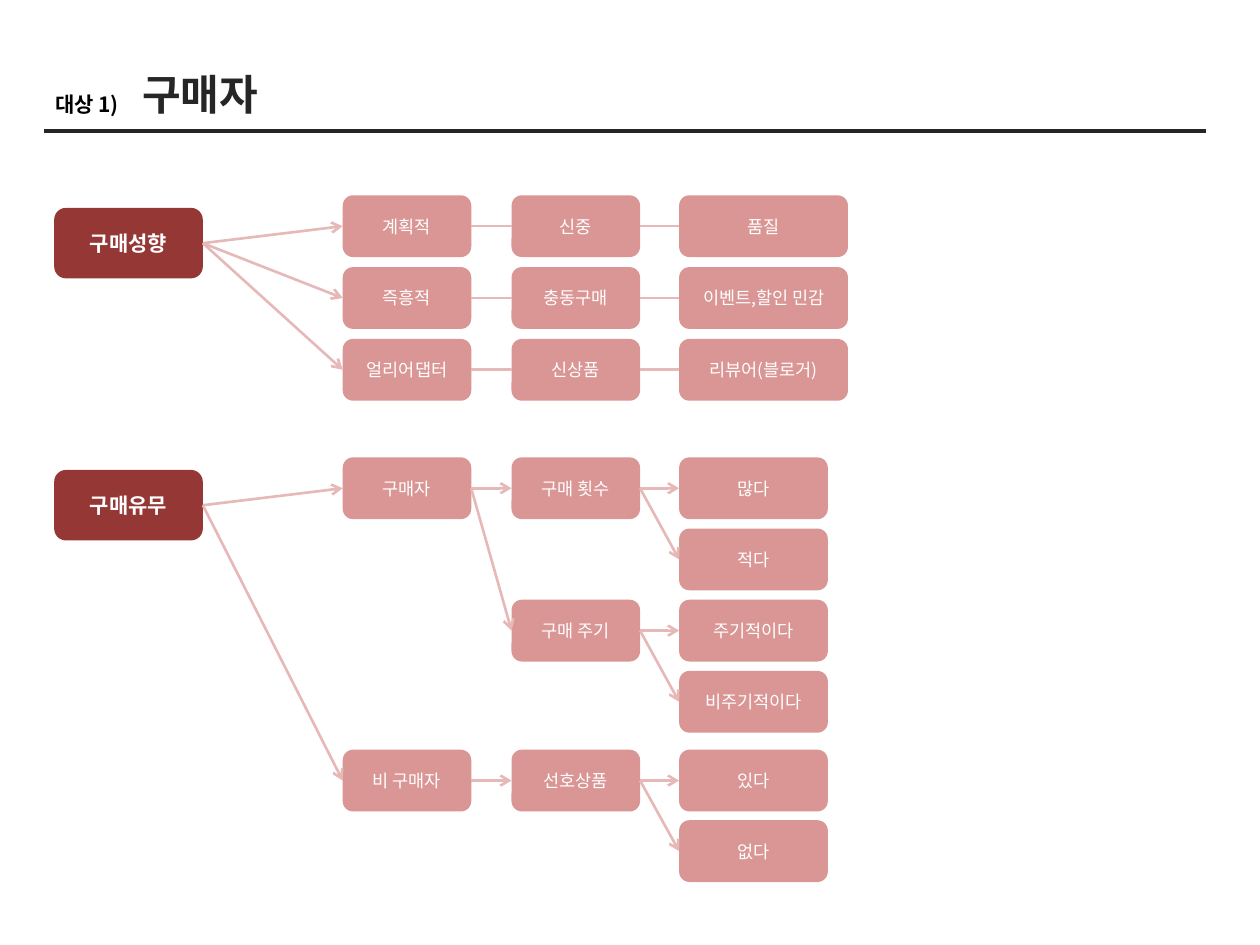
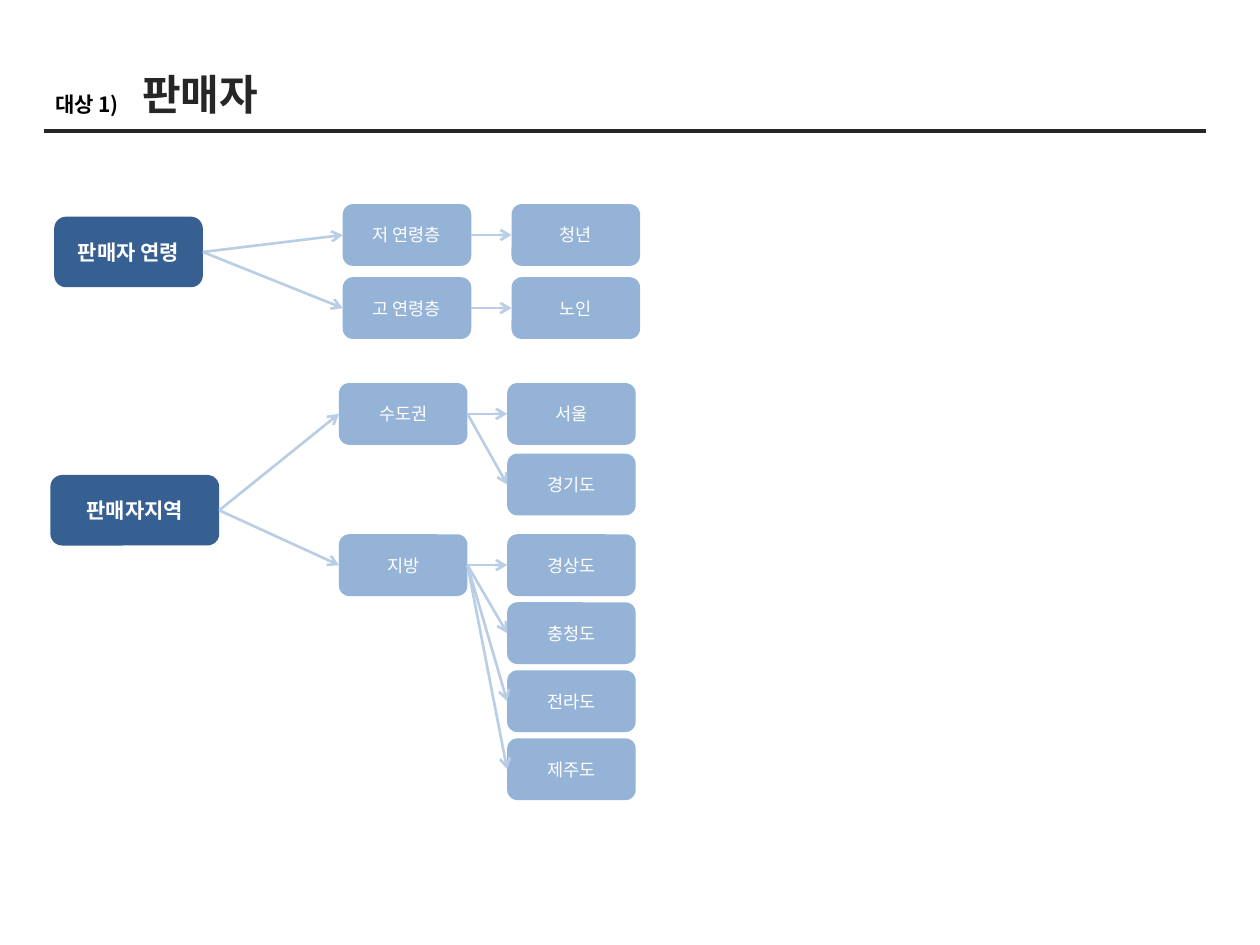
import pptx
import pptx.util
import pptx.dml.color
import pptx.enum.shapes
import pptx.enum.text
import pptx.oxml
import pptx.oxml.ns

Inches = pptx.util.Inches
Pt = pptx.util.Pt

COLORS = {"ink": "262626", "black": "000000", "white": "FFFFFF"}
PALETTES = {
    "red": {"root": "953735", "branch": "D99694", "line": "E6B9B8"},
    "blue": {"root": "376092", "branch": "95B3D7", "line": "B9CDE5"},
}
KOREAN = "Noto Sans CJK KR"
ROOT_HEIGHT = 0.56
BRANCH_HEIGHT = 0.49

FONTS = {
    "title": {"size": Pt(24), "bold": True, "name": "Arial"},
    "label": {"size": Pt(12), "bold": True, "name": KOREAN},
    "branch": {"size": Pt(10), "bold": False, "name": KOREAN},
}
HEADING_FRAME = {
    "word_wrap": False,
    "auto_size": pptx.enum.text.MSO_AUTO_SIZE.SHAPE_TO_FIT_TEXT,
    "vertical_anchor": pptx.enum.text.MSO_ANCHOR.TOP,
}

# columns: (left, width) per level; rows: (first top, count, pitch) per run of leaves
SLIDES = [
    {
        "title": "구매자",
        "palette": "red",
        "trees": [
            {
                "root_top": 1.65,
                "columns": [(0.43, 1.18), (2.72, 1.02), (4.06, 1.02), (5.39, 1.34)],
                "rows": [(1.55, 3, 0.57)],
                "arrow_levels": [1],
                "node": ("구매성향", [
                    ("계획적", [("신중", [("품질", [])])]),
                    ("즉흥적", [("충동구매", [("이벤트,할인 민감", [])])]),
                    ("얼리어댑터", [("신상품", [("리뷰어(블로거)", [])])]),
                ]),
            },
            {
                "root_top": 3.73,
                "columns": [(0.43, 1.18), (2.72, 1.02), (4.06, 1.02), (5.39, 1.18)],
                "rows": [(3.63, 4, 0.565), (5.95, 2, 0.56)],
                "arrow_levels": [1, 2, 3],
                "node": ("구매유무", [
                    ("구매자", [
                        ("구매 횟수", [("많다", []), ("적다", [])]),
                        ("구매 주기", [("주기적이다", []), ("비주기적이다", [])]),
                    ]),
                    ("비 구매자", [("선호상품", [("있다", []), ("없다", [])])]),
                ]),
            },
        ],
    },
    {
        "title": "판매자",
        "palette": "blue",
        "trees": [
            {
                "root_top": 1.72,
                "columns": [(0.43, 1.18), (2.72, 1.02), (4.06, 1.02)],
                "rows": [(1.62, 2, 0.58)],
                "arrow_levels": [1, 2],
                "node": ("판매자 연령", [
                    ("저 연령층", [("청년", [])]),
                    ("고 연령층", [("노인", [])]),
                ]),
            },
            {
                "root_top": 3.77,
                "columns": [(0.4, 1.34), (2.69, 1.02), (4.025, 1.02)],
                "rows": [(3.04, 2, 0.56), (4.24, 4, 0.54)],
                "arrow_levels": [1, 2],
                "node": ("판매자지역", [
                    ("수도권", [("서울", []), ("경기도", [])]),
                    ("지방", [("경상도", []), ("충청도", []), ("전라도", []), ("제주도", [])]),
                ]),
            },
        ],
    },
]


def rgb(color):
    return pptx.dml.color.RGBColor.from_string(color)


def set_attributes(target, values):
    for name, value in values.items():
        setattr(target, name, value)


def write(shape, text, style, color, alignment):
    paragraph = shape.text_frame.paragraphs[0]
    paragraph.alignment = alignment
    run = paragraph.add_run()
    run.text = text
    set_attributes(run.font, FONTS[style])
    run.font.color.rgb = rgb(color)
    east_asian = pptx.oxml.parse_xml(
        f'<a:ea {pptx.oxml.ns.nsdecls("a")} typeface="{KOREAN}"/>')
    run.font._element.find(pptx.oxml.ns.qn("a:latin")).addnext(east_asian)


def add_line(slide, start, end, color, width, arrow=False):
    points = [Inches(value) for value in (*start, *end)]
    line = slide.shapes.add_connector(pptx.enum.shapes.MSO_CONNECTOR.STRAIGHT, *points)
    line.line.color.rgb = rgb(color)
    line.line.width = Pt(width)
    namespace = pptx.oxml.ns.nsdecls("a")
    if arrow:
        line.line._get_or_add_ln().append(
            pptx.oxml.parse_xml(f'<a:tailEnd {namespace} type="arrow"/>'))
    line._element.spPr.append(pptx.oxml.parse_xml(f"<a:effectLst {namespace}/>"))
    return line


def add_heading(slide, title):
    add_line(slide, (0.35, 1.04), (9.57, 1.04), COLORS["ink"], 2.25)
    label = slide.shapes.add_textbox(0, 0, 0, 0)
    headings = [
        (label, "대상 1)", "label", COLORS["black"], (0.34, 0.68, 0.76, 0.3)),
        (slide.shapes.title, title, "title", COLORS["ink"], (1.03, 0.49, 1.21, 0.5)),
    ]
    for shape, text, style, color, box in headings:
        set_attributes(shape, dict(zip(("left", "top", "width", "height"), map(Inches, box))))
        set_attributes(shape.text_frame, HEADING_FRAME)
        write(shape, text, style, color, pptx.enum.text.PP_ALIGN.LEFT)


def add_box(slide, text, box, fill, style):
    shape = slide.shapes.add_shape(
        pptx.enum.shapes.MSO_SHAPE.ROUNDED_RECTANGLE, *map(Inches, box))
    shape.shadow.inherit = False
    shape.fill.solid()
    shape.fill.fore_color.rgb = rgb(fill)
    shape.line.fill.background()
    write(shape, text, style, COLORS["white"], pptx.enum.text.PP_ALIGN.CENTER)
    return shape


def add_tree(slide, tree, palette):
    tops = [first + index * pitch
            for first, count, pitch in tree["rows"] for index in range(count)]

    def add_node(node, level, row):
        text, children = node
        left, width = tree["columns"][level]
        if level == 0:
            box = (left, tree["root_top"], width, ROOT_HEIGHT)
            shape = add_box(slide, text, box, palette["root"], "label")
        else:
            box = (left, tops[row], width, BRANCH_HEIGHT)
            shape = add_box(slide, text, box, palette["branch"], "branch")
        next_row = row
        for child in children:
            child_shape, next_row = add_node(child, level + 1, next_row)
            line = add_line(slide, (0, 0), (0, 0), palette["line"], 1.5,
                            level + 1 in tree["arrow_levels"])
            line.begin_connect(shape, 3)
            line.end_connect(child_shape, 1)
        return shape, next_row if children else row + 1

    add_node(tree["node"], 0, 0)


presentation = pptx.Presentation()
presentation.slide_width = Inches(10)
presentation.slide_height = Inches(7.5)
for content in SLIDES:
    slide = presentation.slides.add_slide(presentation.slide_layouts[5])
    add_heading(slide, content["title"])
    for tree in content["trees"]:
        add_tree(slide, tree, PALETTES[content["palette"]])
presentation.save("out.pptx")
